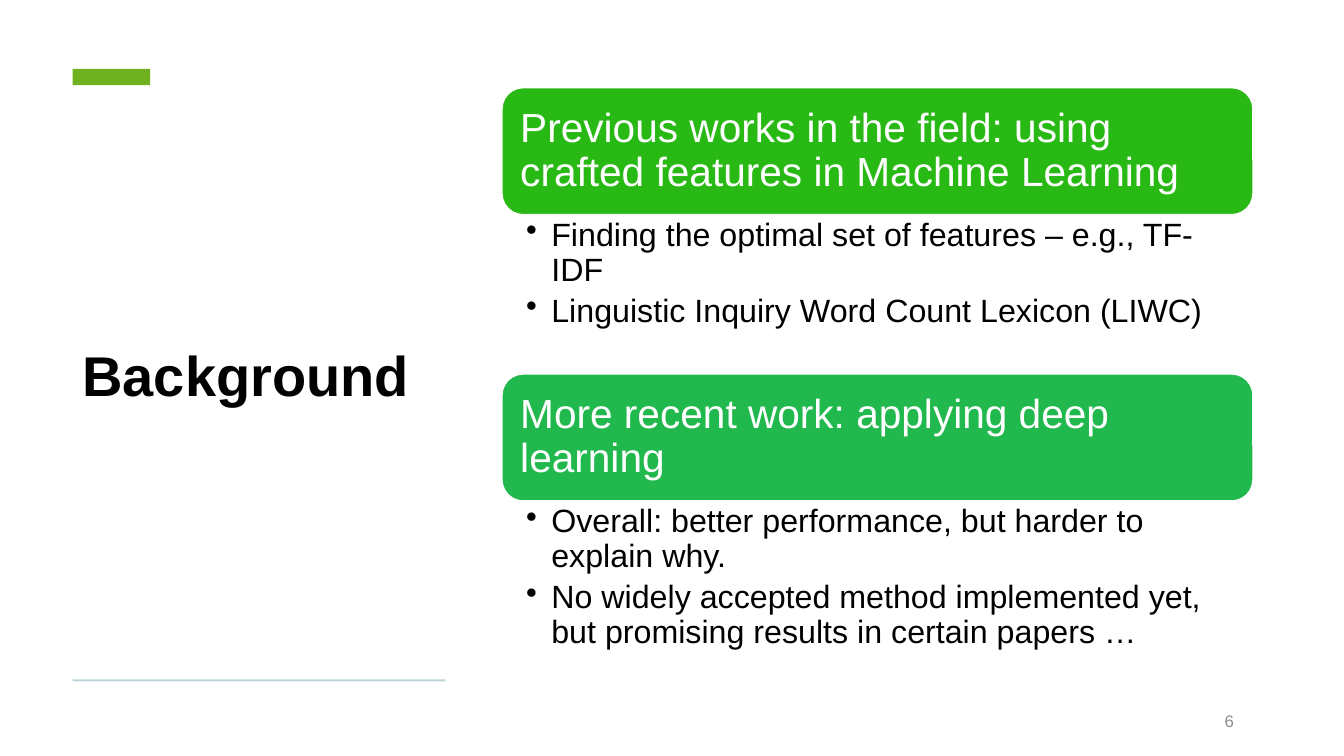
import pptx
import pptx.util
import pptx.dml.color
import pptx.enum.shapes
import pptx.enum.text
import lxml.etree

Inch, Pt = pptx.util.Inches, pptx.util.Pt
Kind = pptx.enum.shapes.MSO_SHAPE
Align, Anchor = pptx.enum.text.PP_ALIGN, pptx.enum.text.MSO_ANCHOR

theme = {
    "font": "Arial",
    "black": "000000", "white": "FFFFFF", "gray": "8C8C8C",
    "accent": "6FB11F", "rule": "BAD5D8",
    "title": 40, "head": 29, "body": 23, "page": 12,
}

deck = pptx.Presentation()
deck.slide_width, deck.slide_height = Inch(13.333), Inch(7.5)
slide = deck.slides.add_slide(deck.slide_layouts[6])


def add(x, y, w, h, kind=None, fill=None):
    """Add a box placed in percent of the slide: a shape, or text if no kind."""
    wide, high = deck.slide_width / 100, deck.slide_height / 100
    area = [int(n) for n in (x * wide, y * high, w * wide, h * high)]
    if kind is None:
        return slide.shapes.add_textbox(*area)
    shape = slide.shapes.add_shape(kind, *area)
    shape.shadow.inherit = False
    shape.fill.solid()
    shape.fill.fore_color.rgb = pptx.dml.color.RGBColor.from_string(fill)
    shape.line.fill.background()
    return shape


def write(shape, lines, size, color, bold=False, pad=(0.1, 0.05, 0.1, 0.05),
          anchor=Anchor.MIDDLE, **form):
    """Fill a box with paragraphs; form holds paragraph settings."""
    frame = shape.text_frame
    sides = ("margin_left", "margin_top", "margin_right", "margin_bottom")
    look = dict(zip(sides, map(Inch, pad)), word_wrap=True, vertical_anchor=anchor)
    for key, value in look.items():
        setattr(frame, key, value)
    frame.text = "\n".join(lines)
    for para in frame.paragraphs:
        for key, value in {"alignment": Align.LEFT, **form}.items():
            setattr(para, key, value)
        font = para.runs[0].font
        for key, value in {"name": theme["font"], "size": Pt(theme[size]), "bold": bold}.items():
            setattr(font, key, value)
        font.color.rgb = pptx.dml.color.RGBColor.from_string(theme[color])


# Left column: title between accent and rule
left, wide = 5.4, 27.75
write(add(left, 14, wide, 72.13), ["Background"], "title", "black", bold=True, line_spacing=0.9)
add(left, 9.13, 5.78, 2.13, Kind.RECTANGLE, theme["accent"])
add(left, 89.87, wide, 0.27, Kind.RECTANGLE, theme["rule"])

# Right column: colored heads with bullet lists, stacked
parts = [
    ("29B914", "Previous works in the field: using crafted features in Machine Learning",
     ["Finding the optimal set of features – e.g., TF-IDF",
      "Linguistic Inquiry Word Count Lexicon (LIWC)"]),
    ("21B94D", "More recent work: applying deep learning",
     ["Overall: better performance, but harder to explain why.",
      "No widely accepted method implemented yet, but promising results in certain papers …"]),
]
left, top, wide = 37.35, 11.6, 55.88
bar, room = 16.8, 21.07
for row, (fill, head, points) in enumerate(parts):
    y = top + row * (bar + room)
    panel = add(left, y, wide, bar, Kind.ROUNDED_RECTANGLE, fill)
    panel.line.color.rgb = pptx.dml.color.RGBColor.from_string(theme["white"])
    panel.line.width = Pt(1)
    write(panel, [head], "head", "white", pad=[0.12] * 4, line_spacing=0.9)

    body = add(left, y + bar, wide, room)
    write(body, points, "body", "black", pad=(0.24, 0.04, 0.23, 0.04),
          anchor=Anchor.TOP, line_spacing=0.9, space_after=Pt(4.6))
    for para in body.text_frame.paragraphs:
        props = para._p.get_or_add_pPr()
        props.set("marL", str(Inch(0.25)))
        props.set("indent", str(Inch(-0.25)))
        mark = lxml.etree.SubElement(props, pptx.oxml.ns.qn("a:buChar"))
        mark.set("char", "•")

# Page number
write(add(70.05, 92.67, 22.5, 5.33), ["6"], "page", "gray", alignment=Align.RIGHT)

deck.save("out.pptx")
